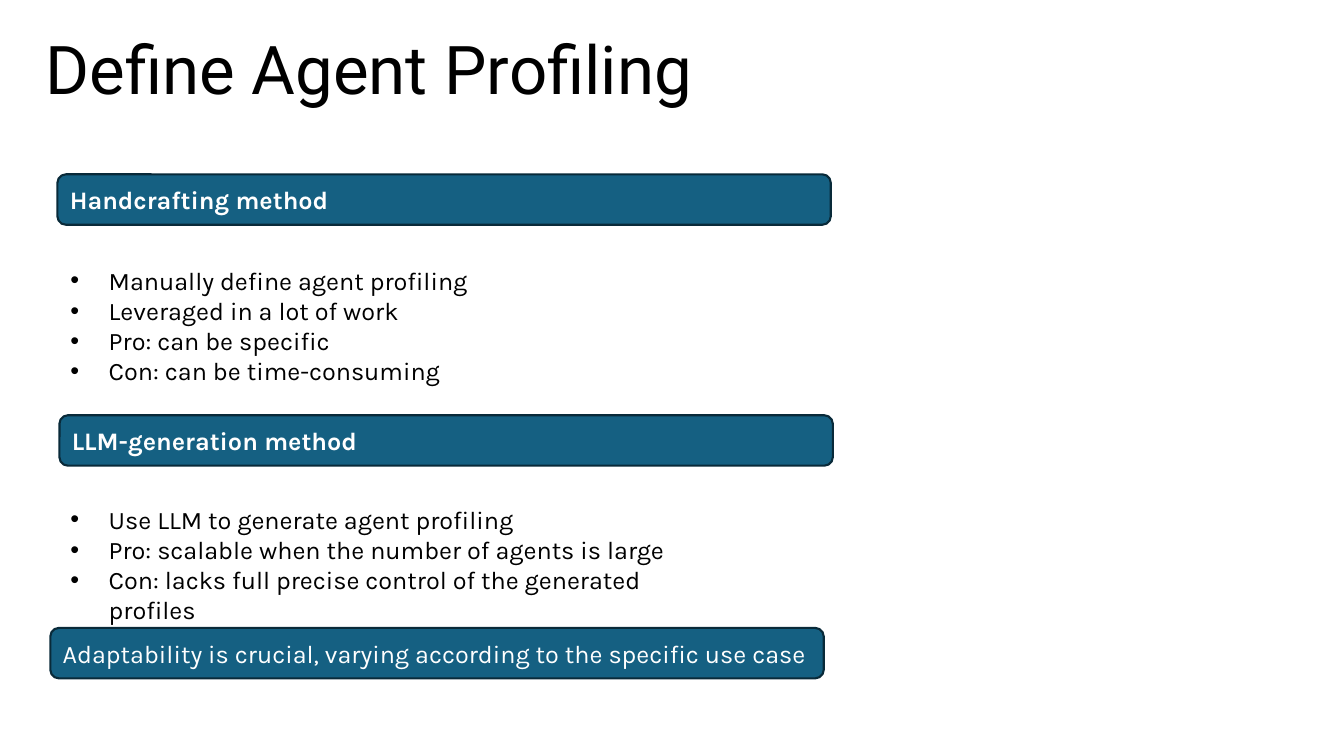
from dataclasses import dataclass

from lxml.etree import SubElement
from pptx import Presentation
from pptx.dml.color import RGBColor
from pptx.enum.shapes import MSO_SHAPE as Shape
from pptx.enum.text import MSO_ANCHOR as Anchor, MSO_AUTO_SIZE as AutoSize, PP_ALIGN as Align
from pptx.oxml.ns import qn
from pptx.slide import Slide
from pptx.text.text import TextFrame, _Paragraph as Paragraph
from pptx.util import Inches, Pt

COLORS = {"banner": "156082", "outline": "092A39", "light": "FFFFFF", "dark": "000000"}
TITLE = {"name": "Roboto", "size": Pt(48), "bold": False}
BODY = {"name": "Karla", "size": Pt(18), "bold": False}
HEADING = BODY | {"bold": True}
BANNER_SIZE = (Inches(7.67), Inches(0.5))


@dataclass
class Banner:
    """A rounded bar with one line of text."""
    left: float
    top: float
    text: str
    style: dict


@dataclass
class BulletList:
    """A text box holding one bullet per item."""
    top: float
    width: float
    height: float
    items: list[str]


BANNERS = [
    Banner(0.57, 1.73, "Handcrafting method", HEADING),
    Banner(0.59, 4.12, "LLM-generation method", HEADING),
    Banner(0.5, 6.23, "Adaptability is crucial, varying according to the specific use case", BODY),
]
LISTS = [
    BulletList(2.58, 6.68, 1.31, [
        "Manually define agent profiling",
        "Leveraged in a lot of work",
        "Pro: can be specific",
        "Con: can be time-consuming",
    ]),
    BulletList(4.95, 7.16, 1.01, [
        "Use LLM to generate agent profiling",
        "Pro: scalable when the number of agents is large",
        "Con: lacks full precise control of the generated profiles",
    ]),
]


def rgb(name: str) -> RGBColor:
    """Look up a colour by its role."""
    return RGBColor.from_string(COLORS[name])


def write(p: Paragraph, text: str, style: dict, color: str) -> None:
    """Add a left-aligned, formatted run to a paragraph."""
    p.alignment = Align.LEFT
    r = p.add_run()
    r.text = text
    for key, value in style.items():
        setattr(r.font, key, value)
    r.font.color.rgb = rgb(color)


def set_frame(tf: TextFrame, anchor: Anchor, auto_size: AutoSize) -> None:
    """Wrap, anchor and size the text of a frame."""
    for key, value in {"word_wrap": True, "vertical_anchor": anchor, "auto_size": auto_size}.items():
        setattr(tf, key, value)


def add_title(s: Slide, text: str) -> None:
    """Place and fill the title placeholder."""
    sp = s.shapes.title
    box = {"left": 0.35, "top": 0.15, "width": 7.74, "height": 1.15}
    for key, value in box.items():
        setattr(sp, key, Inches(value))
    set_frame(sp.text_frame, Anchor.MIDDLE, AutoSize.NONE)
    p = sp.text_frame.paragraphs[0]
    p.line_spacing = 0.9
    write(p, text, TITLE, "dark")


def add_banner(s: Slide, banner: Banner) -> None:
    """Draw a rounded bar with its text."""
    sp = s.shapes.add_shape(Shape.ROUNDED_RECTANGLE, Inches(banner.left), Inches(banner.top), *BANNER_SIZE)
    sp.shadow.inherit = False
    sp.fill.solid()
    sp.fill.fore_color.rgb = rgb("banner")
    sp.line.color.rgb = rgb("outline")
    sp.line.width = Pt(1.5)
    set_frame(sp.text_frame, Anchor.MIDDLE, AutoSize.NONE)
    write(sp.text_frame.paragraphs[0], banner.text, banner.style, "light")


def add_bullets(s: Slide, block: BulletList) -> None:
    """Draw a bulleted text box."""
    sp = s.shapes.add_textbox(Inches(0.1), Inches(block.top), Inches(block.width), Inches(block.height))
    tf = sp.text_frame
    set_frame(tf, Anchor.TOP, AutoSize.SHAPE_TO_FIT_TEXT)
    for i, item in enumerate(block.items):
        p = tf.add_paragraph() if i else tf.paragraphs[0]
        p.level = 1
        pPr = p._p.get_or_add_pPr()
        pPr.set("marL", str(Inches(0.88)))
        pPr.set("indent", str(Inches(-0.38)))
        SubElement(pPr, qn("a:buFont"), typeface="Arial")
        SubElement(pPr, qn("a:buChar"), char="•")
        write(p, item, BODY, "dark")


def main() -> None:
    """Build and save the slide."""
    prs = Presentation()
    prs.slide_width, prs.slide_height = Inches(13.33), Inches(7.5)
    s = prs.slides.add_slide(prs.slide_layouts[5])
    add_title(s, "Define Agent Profiling")
    for block in LISTS:
        add_bullets(s, block)
    for banner in BANNERS:
        add_banner(s, banner)
    prs.save("out.pptx")


if __name__ == "__main__":
    main()
